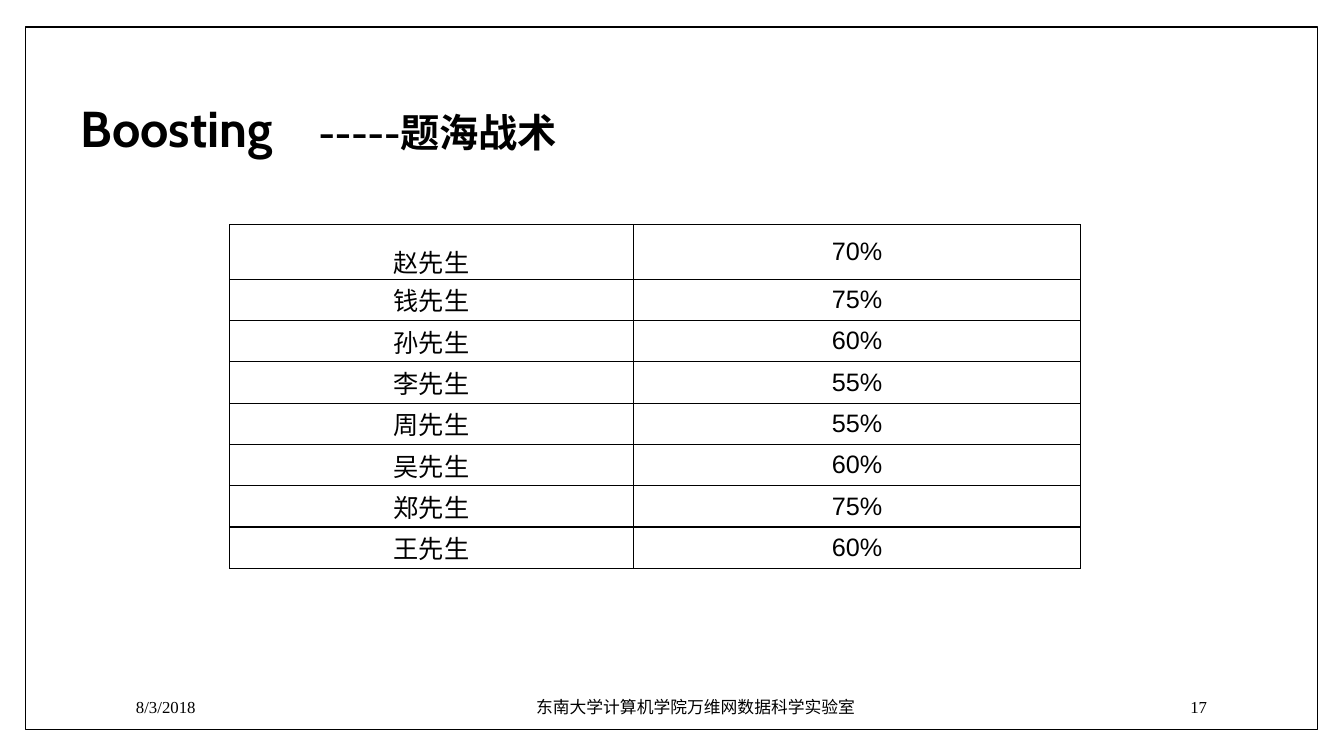
from dataclasses import dataclass

from lxml.etree import SubElement
from pptx import Presentation
from pptx.dml.color import RGBColor
from pptx.enum.shapes import MSO_SHAPE
from pptx.enum.text import MSO_ANCHOR, MSO_AUTO_SIZE, PP_ALIGN
from pptx.oxml.ns import qn
from pptx.slide import Slide
from pptx.table import _Cell
from pptx.text.text import TextFrame, _Paragraph
from pptx.util import Inches, Pt

BLACK = RGBColor(0x00, 0x00, 0x00)
WHITE = RGBColor(0xFF, 0xFF, 0xFF)
TITLE_FONT = "Cabin"
TABLE_FONT = "Arial"
NUMBER_FONT = "Times New Roman"


@dataclass
class FooterItem:
    """One text of the footer line, with its place in inches."""
    text: str
    left: float
    width: float
    align: PP_ALIGN
    font: str


@dataclass
class Score:
    """One person and the share of correct answers."""
    name: str
    rate: str


FOOTER = [
    FooterItem("8/3/2018", 1.25, 2.55, PP_ALIGN.LEFT, NUMBER_FONT),
    FooterItem("东南大学计算机学院万维网数据科学实验室", 4.32, 5.16,
               PP_ALIGN.CENTER, TITLE_FONT),
    FooterItem("17", 10.2, 1.87, PP_ALIGN.RIGHT, NUMBER_FONT),
]
SCORES = [
    Score("赵先生", "70%"),
    Score("钱先生", "75%"),
    Score("孙先生", "60%"),
    Score("李先生", "55%"),
    Score("周先生", "55%"),
    Score("吴先生", "60%"),
    Score("郑先生", "75%"),
    Score("王先生", "60%"),
]
COLUMN_WIDTHS = (4.0, 4.44)
FIRST_ROW_HEIGHT, ROW_HEIGHT = 0.54, 0.41


def add_run(p: _Paragraph, text: str, *, size: float, font: str,
            bold: bool = False) -> None:
    """Append a formatted black run to a paragraph."""
    r = p.add_run()
    r.text = text
    r.font.size = Pt(size)
    r.font.name = font
    r.font.bold = bold
    r.font.color.rgb = BLACK


def write_line(tf: TextFrame, text: str, *, size: float, font: str,
               align: PP_ALIGN) -> _Paragraph:
    """Write one aligned line into a text frame."""
    p = tf.paragraphs[0]
    p.alignment = align
    add_run(p, text, size=size, font=font)
    return p


def add_frame(slide: Slide) -> None:
    """Draw the slide border behind the title."""
    sp = slide.shapes.add_shape(MSO_SHAPE.RECTANGLE, Inches(0.25), Inches(0.27),
                                Inches(12.82), Inches(6.97))
    sp.shadow.inherit = False
    sp.fill.solid()
    sp.fill.fore_color.rgb = WHITE
    sp.line.color.rgb = BLACK
    sp.line.width = Pt(1)
    slide.shapes.title.element.addprevious(sp.element)


def format_title(slide: Slide) -> None:
    """Place the title and set its two parts apart with a tab stop."""
    sp = slide.shapes.title
    sp.left, sp.top = Inches(0.7), Inches(0.91)
    sp.width, sp.height = Inches(5.57), Inches(1.31)
    tf = sp.text_frame
    tf.word_wrap = True
    tf.auto_size = MSO_AUTO_SIZE.SHAPE_TO_FIT_TEXT
    tf.vertical_anchor = MSO_ANCHOR.TOP
    p = tf.paragraphs[0]
    p.alignment = PP_ALIGN.LEFT
    tabs = SubElement(p._p.get_or_add_pPr(), qn("a:tabLst"))
    SubElement(tabs, qn("a:tab"), pos=str(Inches(2.36)), algn="l")
    add_run(p, "Boosting\t", size=36, font=TITLE_FONT, bold=True)
    add_run(p, "-----题海战术", size=28, font=TITLE_FONT, bold=True)


def add_borders(cell: _Cell) -> None:
    """Give a cell a thin black line on each side."""
    tc_pr = cell._tc.get_or_add_tcPr()
    for side in ("lnL", "lnR", "lnT", "lnB"):
        ln = SubElement(tc_pr, qn(f"a:{side}"), w=str(Pt(1)))
        fill = SubElement(ln, qn("a:solidFill"))
        SubElement(fill, qn("a:srgbClr"), val=str(BLACK))


def format_cell(cell: _Cell, text: str) -> _Paragraph:
    """Write a centred text into a bordered cell without a fill."""
    cell.margin_top = cell.margin_bottom = 0
    cell.vertical_anchor = MSO_ANCHOR.MIDDLE
    add_borders(cell)
    cell.fill.background()
    return write_line(cell.text_frame, text, size=18, font=TABLE_FONT,
                      align=PP_ALIGN.CENTER)


def add_score_table(slide: Slide) -> None:
    """Add the table of names and rates."""
    heights = [FIRST_ROW_HEIGHT] + [ROW_HEIGHT] * (len(SCORES) - 1)
    table = slide.shapes.add_table(
        len(SCORES), len(COLUMN_WIDTHS), Inches(2.28), Inches(2.23),
        Inches(sum(COLUMN_WIDTHS)), Inches(sum(heights))).table
    table.first_row = table.horz_banding = False
    for column, width in zip(table.columns, COLUMN_WIDTHS):
        column.width = Inches(width)
    for i, (score, height) in enumerate(zip(SCORES, heights)):
        table.rows[i].height = Inches(height)
        p = format_cell(table.cell(i, 0), score.name)
        if i == 0:
            p.line_spacing = 1.5
        format_cell(table.cell(i, 1), score.rate)


def add_footer_item(slide: Slide, item: FooterItem) -> None:
    """Add one text of the footer line."""
    sp = slide.shapes.add_textbox(Inches(item.left), Inches(6.81),
                                  Inches(item.width), Inches(0.4))
    tf = sp.text_frame
    tf.word_wrap = True
    tf.vertical_anchor = MSO_ANCHOR.MIDDLE
    write_line(tf, item.text, size=12, font=item.font, align=item.align)


def main() -> None:
    """Build and save the slide."""
    prs = Presentation()
    prs.slide_width, prs.slide_height = Inches(13.33), Inches(7.5)
    slide = prs.slides.add_slide(prs.slide_layouts.get_by_name("Title Only"))
    add_frame(slide)
    format_title(slide)
    add_score_table(slide)
    for item in FOOTER:
        add_footer_item(slide, item)
    prs.save("out.pptx")


main()
